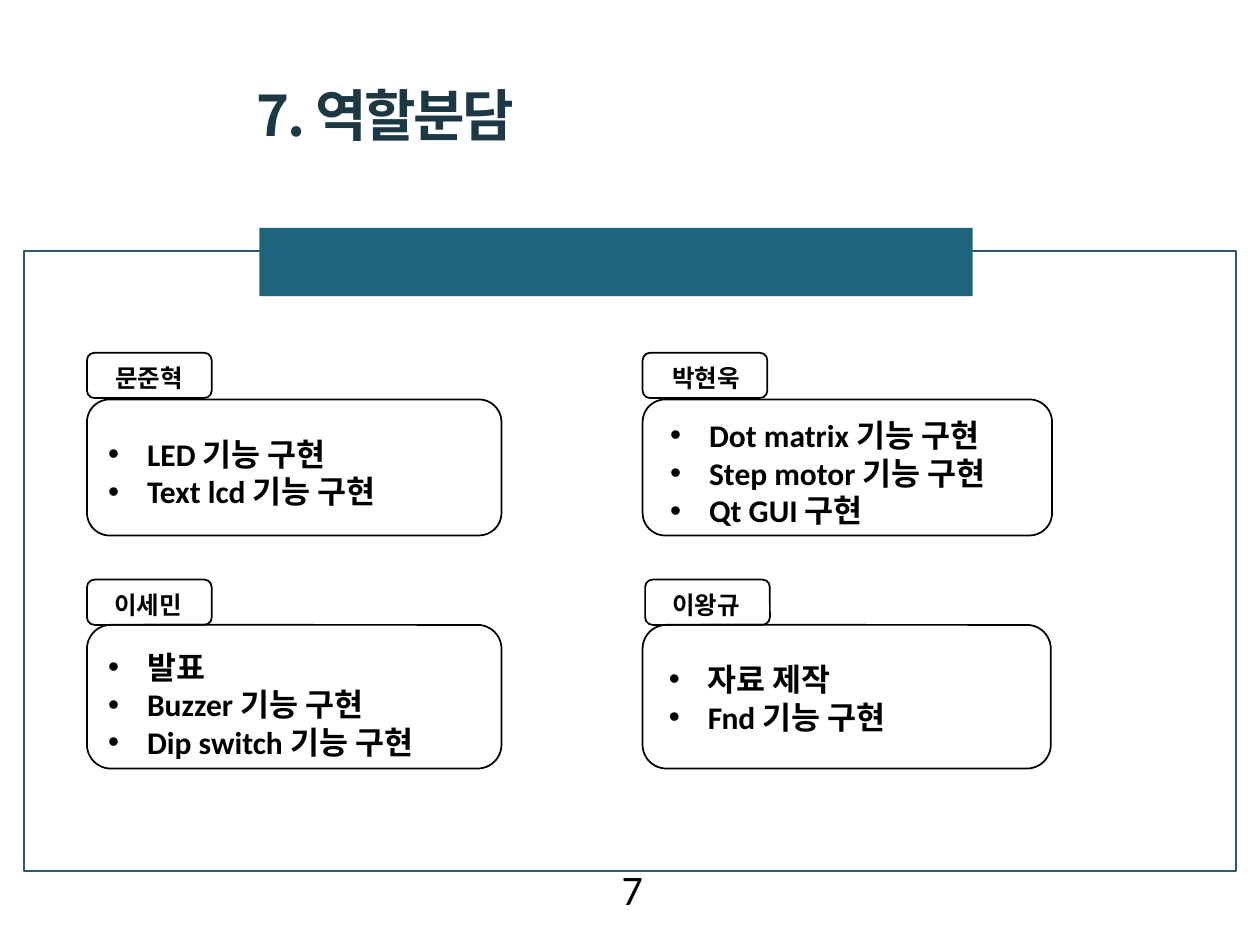
"""Build the role assignment slide with four member cards."""
from dataclasses import dataclass

import pptx
import pptx.dml.color
import pptx.enum.shapes
import pptx.enum.text
import pptx.oxml.ns
import pptx.presentation
import pptx.shapes.autoshape
import pptx.slide
import pptx.text.text
import pptx.util
from lxml import etree

EMU_PER_PX = 9144
BLACK = pptx.dml.color.RGBColor(0x00, 0x00, 0x00)
WHITE = pptx.dml.color.RGBColor(0xFF, 0xFF, 0xFF)
FRAME = pptx.dml.color.RGBColor(0x2D, 0x58, 0x6B)
TEAL = pptx.dml.color.RGBColor(0x1C, 0x65, 0x7C)
NAVY = pptx.dml.color.RGBColor(0x1C, 0x38, 0x44)
BODY_FONT = "Calibri"
NAME_FONT = "Noto Sans CJK JP"
TITLE_FONT = "Noto Sans CJK KR"
SHAPE = pptx.enum.shapes.MSO_SHAPE
ALIGN = pptx.enum.text.PP_ALIGN
ANCHOR = pptx.enum.text.MSO_ANCHOR
Color = pptx.dml.color.RGBColor


@dataclass(frozen=True)
class Area:
    left: int
    top: int
    width: int
    height: int

    def emu(self) -> list[int]:
        return [side * EMU_PER_PX for side in (self.left, self.top, self.width, self.height)]


@dataclass(frozen=True)
class TextStyle:
    font: str
    east_asian_font: str
    size: int
    color: Color = BLACK
    bold: bool = True
    spacing: int = 0


@dataclass(frozen=True)
class Card:
    name: str
    tasks: tuple[str, ...]
    name_area: Area
    tab_area: Area
    tasks_area: Area
    body_area: Area


TITLE_STYLE = TextStyle(TITLE_FONT, TITLE_FONT, 32, NAVY, spacing=-150)
NAME_STYLE = TextStyle(NAME_FONT, BODY_FONT, 14)
TASK_STYLE = TextStyle(BODY_FONT, BODY_FONT, 18)
NUMBER_STYLE = TextStyle(BODY_FONT, BODY_FONT, 24, bold=False)

CARDS = (
    Card("문준혁", ("LED 기능 구현", "Text lcd 기능 구현"),
         Area(69, 283, 99, 34), Area(69, 280, 99, 36),
         Area(76, 340, 300, 71), Area(69, 317, 329, 108)),
    Card("박현욱", ("Dot matrix 기능 구현", "Step motor 기능 구현", "Qt GUI 구현"),
         Area(512, 283, 97, 34), Area(510, 280, 99, 36),
         Area(522, 325, 300, 101), Area(510, 317, 325, 108)),
    Card("이세민", ("발표", "Buzzer 기능 구현", "Dip switch 기능 구현"),
         Area(68, 463, 99, 34), Area(69, 460, 99, 36),
         Area(76, 509, 300, 101), Area(69, 496, 329, 114)),
    Card("이왕규", ("자료 제작", "Fnd 기능 구현"),
         Area(512, 463, 97, 34), Area(512, 460, 99, 36),
         Area(521, 519, 301, 101), Area(510, 496, 324, 114)),
)


def add_panel(page: pptx.slide.Slide, kind: SHAPE, area: Area,
              fill: Color | None = None, line: Color | None = None) -> None:
    panel = page.shapes.add_shape(kind, *area.emu())
    panel.shadow.inherit = False
    if fill is None:
        panel.fill.background()
    else:
        panel.fill.solid()
        panel.fill.fore_color.rgb = fill
    if line is None:
        panel.line.fill.background()
    else:
        panel.line.color.rgb = line
        panel.line.width = pptx.util.Pt(1)


def add_run(para: pptx.text.text._Paragraph, text: str, style: TextStyle) -> None:
    span = para.add_run()
    span.text = text
    span.font.name = style.font
    span.font.size = pptx.util.Pt(style.size)
    span.font.bold = style.bold
    span.font.color.rgb = style.color
    properties = span.font._element
    if style.spacing:
        properties.set("spc", str(style.spacing))
    east_asian = etree.SubElement(properties, pptx.oxml.ns.qn("a:ea"))
    east_asian.set("typeface", style.east_asian_font)


def add_bullet(para: pptx.text.text._Paragraph) -> None:
    indent = 31 * EMU_PER_PX
    properties = para._p.get_or_add_pPr()
    properties.set("marL", str(indent))
    properties.set("indent", str(-indent))
    font = etree.SubElement(properties, pptx.oxml.ns.qn("a:buFont"))
    font.set("typeface", "Arial")
    bullet = etree.SubElement(properties, pptx.oxml.ns.qn("a:buChar"))
    bullet.set("char", "•")


def add_text(page: pptx.slide.Slide, area: Area, lines: tuple[str, ...], style: TextStyle,
             align: ALIGN = ALIGN.LEFT, anchor: ANCHOR = ANCHOR.TOP,
             bulleted: bool = False, line_spacing: float | None = None) -> None:
    box = page.shapes.add_textbox(*area.emu())
    frame = box.text_frame
    frame.word_wrap = True
    frame.vertical_anchor = anchor
    for index, line in enumerate(lines):
        para = frame.add_paragraph() if index else frame.paragraphs[0]
        para.alignment = align
        para.line_spacing = line_spacing
        if bulleted:
            add_bullet(para)
        add_run(para, line, style)


def add_card(page: pptx.slide.Slide, card: Card) -> None:
    add_text(page, card.name_area, (card.name,), NAME_STYLE, align=ALIGN.CENTER)
    add_panel(page, SHAPE.ROUNDED_RECTANGLE, card.tab_area, line=BLACK)
    add_text(page, card.tasks_area, card.tasks, TASK_STYLE, bulleted=True)
    add_panel(page, SHAPE.ROUNDED_RECTANGLE, card.body_area, line=BLACK)


def build_deck() -> pptx.presentation.Presentation:
    deck = pptx.Presentation()
    deck.slide_width = 1000 * EMU_PER_PX
    deck.slide_height = 750 * EMU_PER_PX
    page = deck.slides.add_slide(deck.slide_layouts[6])
    add_panel(page, SHAPE.RECTANGLE, Area(19, 199, 962, 492), fill=WHITE, line=FRAME)
    add_panel(page, SHAPE.RECTANGLE, Area(206, 181, 566, 54), fill=TEAL)
    add_text(page, Area(194, 59, 652, 70), ("7. 역할분담",), TITLE_STYLE,
             anchor=ANCHOR.MIDDLE, line_spacing=0.9)
    for card in CARDS:
        add_card(page, card)
    add_text(page, Area(295, 685, 225, 40), ("7",), NUMBER_STYLE,
             align=ALIGN.RIGHT, anchor=ANCHOR.MIDDLE)
    return deck


if __name__ == "__main__":
    build_deck().save("out.pptx")
